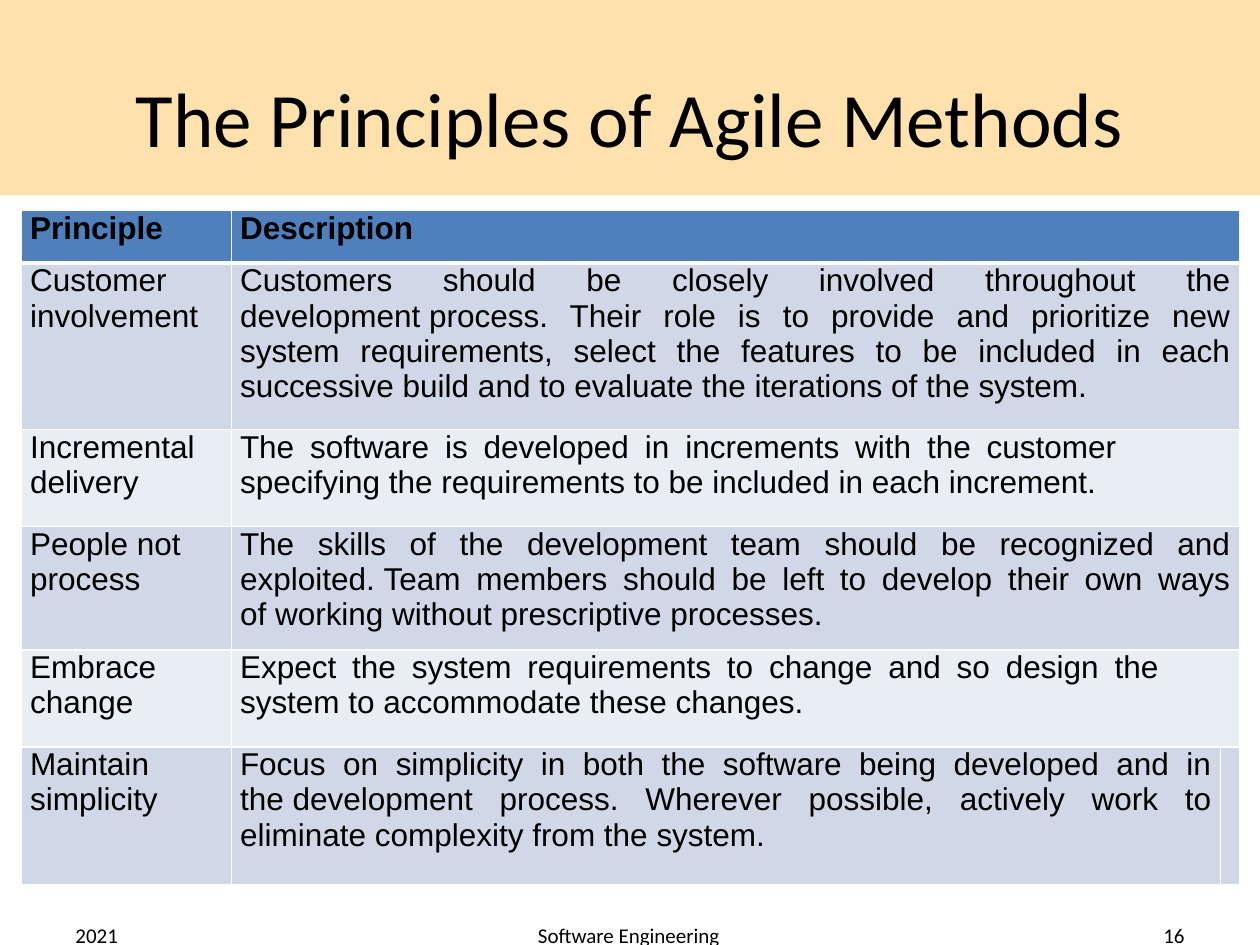
from lxml.etree import SubElement
from pptx import Presentation
from pptx.dml.color import RGBColor
from pptx.enum.shapes import MSO_SHAPE
from pptx.enum.text import MSO_ANCHOR, PP_ALIGN
from pptx.oxml.ns import qn
from pptx.util import Pt

COLORS = {
    "banner": "FFE1AD",
    "header": "4F80BC",
    "dark_band": "D0D8E8",
    "light_band": "E9EDF4",
    "border": "FFFFFF",
    "text": "000000",
}
COLUMN_WIDTHS = [120, 565.2, 10.8]
ROW_HEIGHTS = [30.2, 95, 55.5, 70.5, 55.5, 78.5]
CELL_INDENT = 5
JOINER = "~"
ROWS = [
    ("Principle", "Description", CELL_INDENT),
    ("Customer involvement",
     "Customers should be closely involved throughout the development~process. "
     "Their role is to provide and prioritize new system requirements, select the "
     "features to be included in each successive build and to evaluate the "
     "iterations of the system.", CELL_INDENT),
    ("Incremental delivery",
     "The software is developed in increments with the customer specifying~the "
     "requirements to be included in each increment.", 70),
    ("People not process",
     "The skills of the development team should be recognized and exploited.~Team "
     "members should be left to develop their own ways of~working without "
     "prescriptive processes.", CELL_INDENT),
    ("Embrace change",
     "Expect the system requirements to change and so design the system~to "
     "accommodate these changes.", 46),
    ("Maintain simplicity",
     "Focus on simplicity in both the software being developed and in "
     "the~development process. Wherever possible, actively work to "
     "eliminate~complexity from the system.", CELL_INDENT),
]


def color(name):
    return RGBColor.from_string(COLORS[name])


def apply_format(target, values):
    for name, value in values.items():
        setattr(target, name, value)


def write_text(paragraph, text, font_name, size, alignment, bold=False):
    run = paragraph.add_run()
    run.text = text
    paragraph.alignment = alignment
    apply_format(run.font, {"name": font_name, "size": Pt(size), "bold": bold})
    run.font.color.rgb = color("text")


def add_label(slide, box, text, size, alignment):
    shape = slide.shapes.add_textbox(*map(Pt, box))
    apply_format(shape.text_frame,
                 {"word_wrap": True, "vertical_anchor": MSO_ANCHOR.MIDDLE})
    write_text(shape.text_frame.paragraphs[0], text, "Calibri", size, alignment)


def add_title_banner(slide, left, top, width, height):
    banner = slide.shapes.add_shape(
        MSO_SHAPE.RECTANGLE, Pt(left), Pt(top), Pt(width), Pt(height))
    banner.shadow.inherit = False
    banner.fill.solid()
    banner.fill.fore_color.rgb = color("banner")
    banner.line.fill.background()
    add_label(slide, (left + 36, top + 21.6, width - 72, height - 21.6),
              "The Principles of Agile Methods", 44, PP_ALIGN.CENTER)


def set_borders(cell, widths):
    properties = cell._tc.get_or_add_tcPr()
    for index, (side, width) in enumerate(widths.items()):
        line = properties.makeelement(qn(f"a:{side}"), {"w": str(Pt(width))})
        fill = SubElement(line, qn("a:solidFill"))
        SubElement(fill, qn("a:srgbClr"), {"val": COLORS["border"]})
        properties.insert(index, line)


def format_cell(cell, row_index):
    apply_format(cell, {"margin_left": 0, "margin_right": 0, "margin_top": 0,
                        "margin_bottom": 0, "vertical_anchor": MSO_ANCHOR.TOP})
    band = "dark_band" if row_index % 2 else "light_band"
    cell.fill.solid()
    cell.fill.fore_color.rgb = color(band if row_index else "header")
    set_borders(cell, {"lnL": 1, "lnR": 1,
                       "lnT": 3 if row_index == 1 else 1,
                       "lnB": 3 if row_index == 0 else 1})


def write_cell(cell, text, alignment, bold, right_indent):
    paragraph = cell.text_frame.paragraphs[0]
    write_text(paragraph, text.replace(JOINER, chr(160)), "Arial", 18, alignment, bold)
    paragraph.line_spacing = Pt(20.2)
    properties = paragraph._p.get_or_add_pPr()
    properties.set("marL", str(Pt(CELL_INDENT)))
    properties.set("marR", str(Pt(right_indent)))


def add_principles_table(slide, left, top):
    table = slide.shapes.add_table(
        len(ROWS), len(COLUMN_WIDTHS), Pt(left), Pt(top),
        Pt(sum(COLUMN_WIDTHS)), Pt(sum(ROW_HEIGHTS))).table
    apply_format(table, {"first_row": False, "horz_banding": False})
    for column, width in zip(table.columns, COLUMN_WIDTHS):
        column.width = Pt(width)
    for row_index, (principle, description, right_indent) in enumerate(ROWS):
        row = table.rows[row_index]
        row.height = Pt(ROW_HEIGHTS[row_index])
        for cell in row.cells:
            format_cell(cell, row_index)
        bold = row_index == 0
        write_cell(row.cells[0], principle, PP_ALIGN.LEFT, bold, 0)
        write_cell(row.cells[1], description, PP_ALIGN.JUSTIFY, bold, right_indent)
        if row_index < len(ROWS) - 1:
            row.cells[1].merge(row.cells[2])


def add_footer(slide, left, top, width, height):
    side_width = 168
    add_label(slide, (left, top, side_width, height), "2021", 12, PP_ALIGN.LEFT)
    add_label(slide, (left + 158.4, top, 329.8, height),
              "Software Engineering", 12, PP_ALIGN.CENTER)
    add_label(slide, (left + width - side_width, top, side_width, height),
              "16", 12, PP_ALIGN.RIGHT)


def main():
    presentation = Presentation()
    presentation.slide_width, presentation.slide_height = Pt(720), Pt(540)
    slide = presentation.slides.add_slide(presentation.slide_layouts[6])
    add_title_banner(slide, 0, 0, 720, 111.6)
    add_principles_table(slide, 12.2, 120.2)
    add_footer(slide, 36, 519.8, 648, 28.8)
    presentation.save("out.pptx")


if __name__ == "__main__":
    main()
